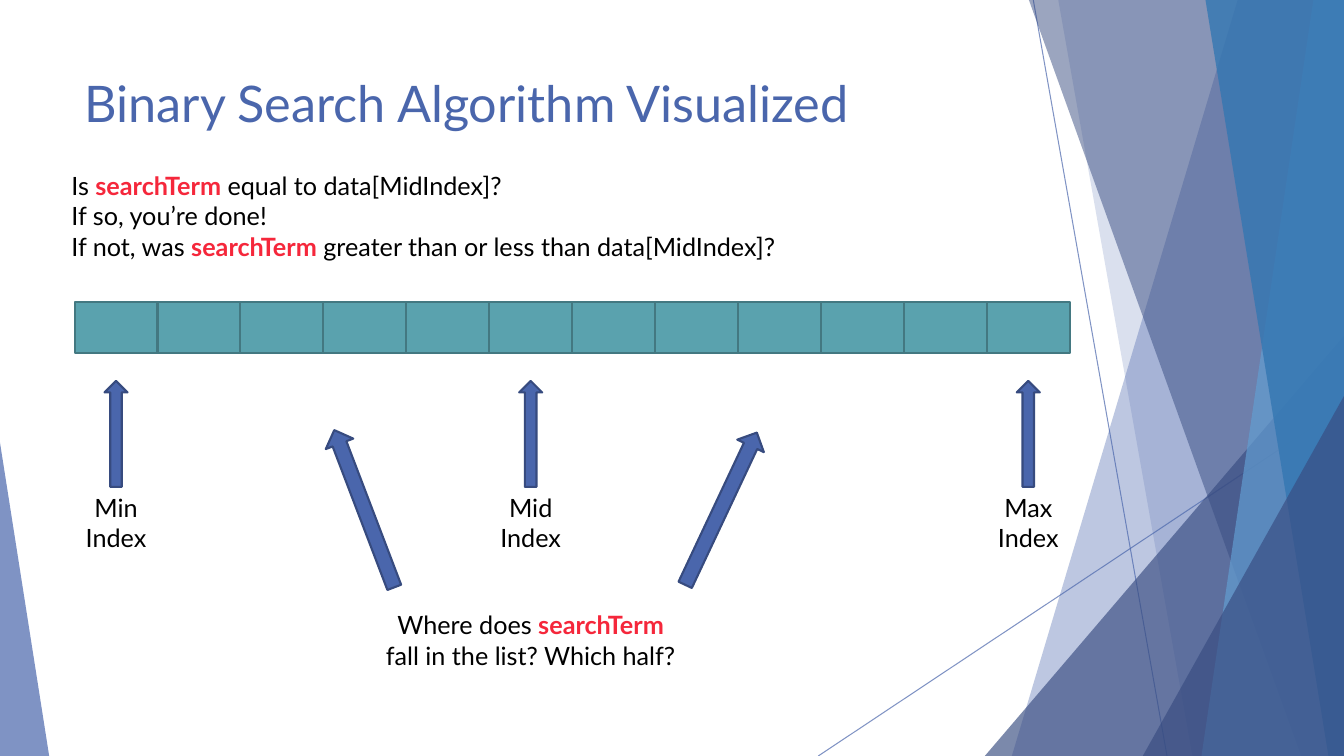
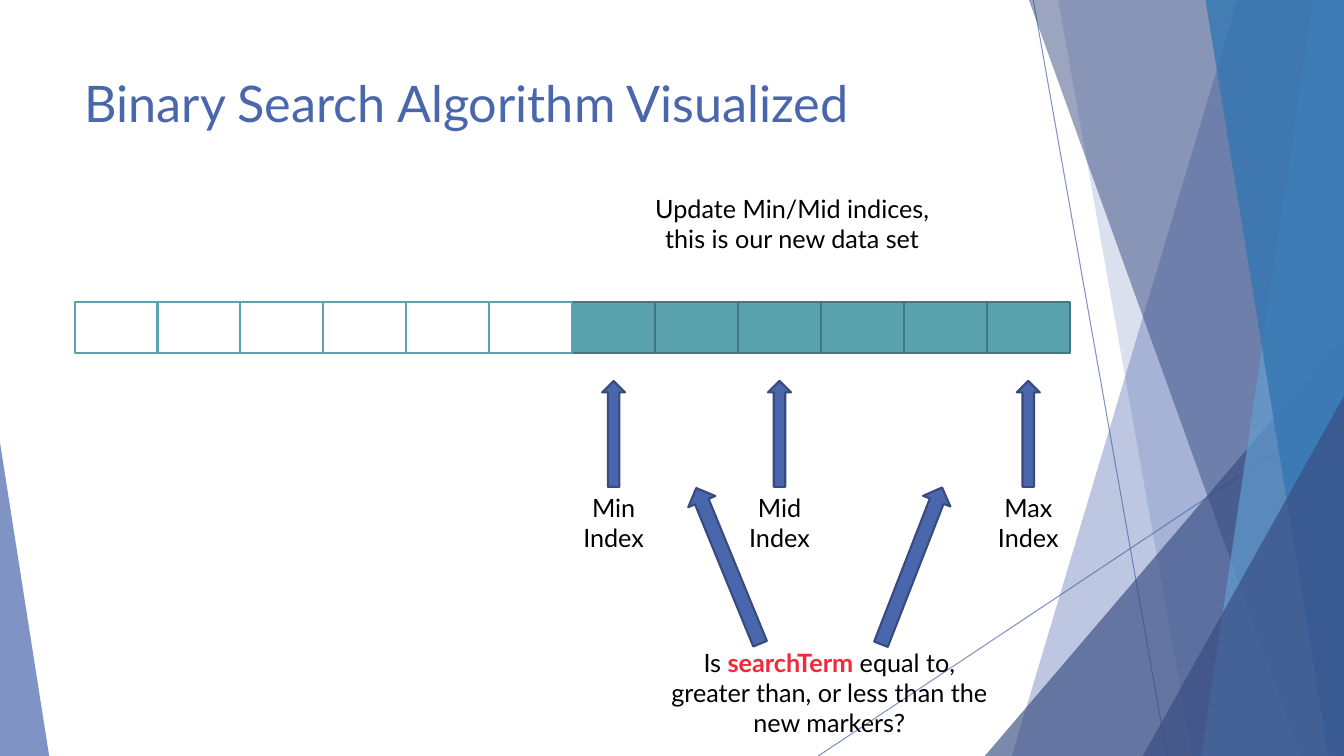
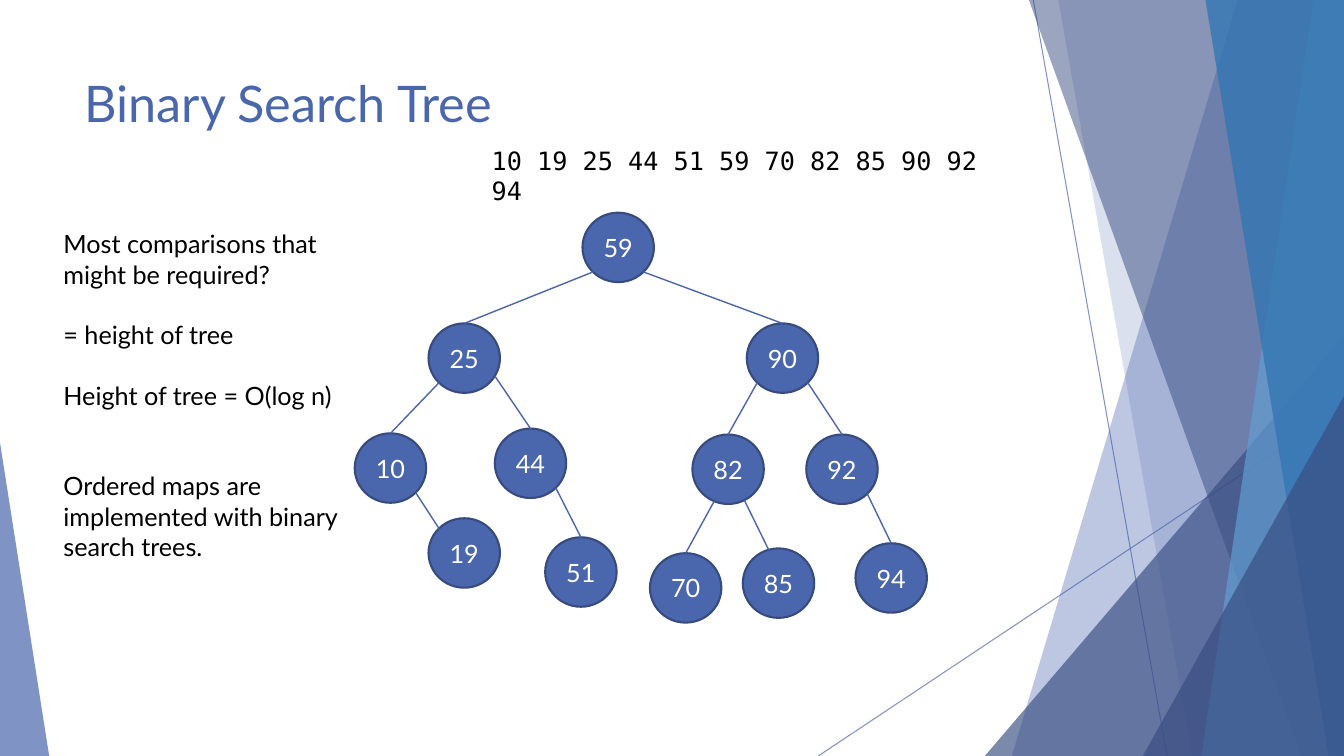
"""Builds three slides that explain binary search and the binary search tree."""
from math import cos, radians, sin

from lxml import etree
from pptx import Presentation
from pptx.dml.color import RGBColor
from pptx.enum.shapes import MSO_CONNECTOR, MSO_SHAPE
from pptx.enum.text import MSO_ANCHOR, PP_ALIGN
from pptx.oxml.ns import qn
from pptx.util import Cm, Pt

LEFT, CENTER = PP_ALIGN.LEFT, PP_ALIGN.CENTER
TOP, MIDDLE = MSO_ANCHOR.TOP, MSO_ANCHOR.MIDDLE
RECTANGLE, ELLIPSE, TRIANGLE = MSO_SHAPE.RECTANGLE, MSO_SHAPE.OVAL, MSO_SHAPE.ISOSCELES_TRIANGLE
UP_ARROW, LEFT_ARROW = MSO_SHAPE.UP_ARROW, MSO_SHAPE.LEFT_ARROW
STRAIGHT = MSO_CONNECTOR.STRAIGHT

WIDTH, HEIGHT = 33.87, 19.05
FONT, MONOSPACE = "Lato", "DejaVu Sans Mono"
BLUE, BLUE_EDGE, NAVY = "4A66AC", "374B7F", "384C81"
SKY, OCEAN = "629DD1", "3477B2"
TEAL, TEAL_EDGE = "5AA2AE", "437881"
WHITE, BLACK, RED = "FFFFFF", "000000", "F5273B"
LINE_HEIGHT = 21.6

CELL_LEFT, CELL_TOP, CELL_WIDTH, CELL_HEIGHT = 1.88, 7.62, 2.09, 1.27
CELL_COUNT = 12
NODE_WIDTH, NODE_HEIGHT = 1.8, 1.75


def paint(fill, colour):
    """Fill with a solid colour given as a hex string."""
    fill.solid()
    fill.fore_color.rgb = RGBColor.from_string(colour)


def fade(shape, percent):
    """Set the opacity of the colours of a shape."""
    for colour in shape.element.spPr.iter(qn("a:srgbClr")):
        etree.SubElement(colour, qn("a:alpha")).set("val", str(percent * 1000))


def write(paragraph, text, size=18, colour=BLACK, font=FONT, align=LEFT, space=0):
    """Write text in a paragraph; parts between asterisks are bold red."""
    paragraph.alignment = align
    paragraph.space_before = Pt(space)
    for index, part in enumerate(text.split("*")):
        emphasis = index % 2 == 1
        run = paragraph.add_run()
        run.text = part
        run.font.name = font
        run.font.size = Pt(size)
        run.font.bold = emphasis
        paint(run.font.fill, RED if emphasis else colour)


class Deck:
    """Holds the presentation, its shared style and the current slide."""

    def __init__(self):
        """Start an empty widescreen presentation."""
        self.presentation = Presentation()
        self.presentation.slide_width = Cm(WIDTH)
        self.presentation.slide_height = Cm(HEIGHT)
        self.slide = None

    def add_slide(self, title):
        """Add a slide with the facets and a title."""
        self.slide = self.presentation.slides.add_slide(self.presentation.slide_layouts[6])
        self.facets()
        self.text([title], 1.88, 1.7, 23.88, 2.16, size=36, colour=BLUE)

    def facets(self):
        """Draw the translucent facets at both sides of the slide."""
        self.line(26.04, 0, 29.41, HEIGHT, width=0.75, opacity=70)
        self.line(WIDTH, 10.24, 20.62, HEIGHT, width=0.75, opacity=70)
        self.band(31.19, 25.5, BLUE, 36)
        self.band(26.67, 30.05, BLUE, 20)
        self.triangle(24.82, 8.46, WIDTH, 1, NAVY, 66)
        self.band(25.93, 32.79, NAVY, 50)
        self.band(33.1, 30.28, SKY, 70)
        self.band(30.38, 33.48, OCEAN, 80)
        self.triangle(28.8, 9.98, WIDTH, 1, NAVY, 66)
        self.triangle(0, 11.15, 1.24, 0, BLUE, 70)

    def band(self, top_left, bottom_left, colour, opacity):
        """Draw a full-height band that reaches the right edge."""
        builder = self.slide.shapes.build_freeform(Cm(top_left), 0)
        corners = [(WIDTH, 0), (WIDTH, HEIGHT), (bottom_left, HEIGHT)]
        builder.add_line_segments([(Cm(x), Cm(y)) for x, y in corners])
        shape = builder.convert_to_shape()
        self.style(shape, colour)
        fade(shape, opacity)

    def triangle(self, left, top, right, apex, colour, opacity):
        """Draw a triangle that stands on the bottom edge."""
        shape = self.shape(TRIANGLE, left, top, right - left, HEIGHT - top, colour)
        shape.adjustments[0] = apex
        fade(shape, opacity)

    def style(self, shape, fill, edge=None):
        """Give a shape its fill and edge, without shadow."""
        shape.shadow.inherit = False
        paint(shape.fill, fill)
        if edge:
            paint(shape.line.fill, edge)
            shape.line.width = Pt(1.5)
        else:
            shape.line.fill.background()

    def shape(self, kind, left, top, width, height, fill, edge=None):
        """Draw a preset shape."""
        shape = self.slide.shapes.add_shape(kind, Cm(left), Cm(top), Cm(width), Cm(height))
        self.style(shape, fill, edge)
        return shape

    def line(self, x1, y1, x2, y2, width=1, opacity=100):
        """Draw a straight blue line."""
        line = self.slide.shapes.add_connector(STRAIGHT, Cm(x1), Cm(y1), Cm(x2), Cm(y2))
        paint(line.line.fill, BLUE)
        line.line.width = Pt(width)
        etree.SubElement(line.element.spPr, qn("a:effectLst"))
        if opacity < 100:
            fade(line, opacity)

    def text(self, lines, left, top, width, height, gaps=(), **style):
        """Add a text box with one paragraph a line and optional gaps above them."""
        box = self.slide.shapes.add_textbox(Cm(left), Cm(top), Cm(width), Cm(height))
        frame = box.text_frame
        frame.word_wrap = True
        frame.vertical_anchor = TOP
        for index, line in enumerate(lines):
            paragraph = frame.add_paragraph() if index else frame.paragraphs[0]
            write(paragraph, line, space=gaps[index] if gaps else 0, **style)

    def cells(self, indices, fill, edge):
        """Draw array cells at the given indices."""
        for index in indices:
            left = CELL_LEFT + index * CELL_WIDTH
            self.shape(RECTANGLE, left, CELL_TOP, CELL_WIDTH, CELL_HEIGHT, fill, edge)

    def marker(self, name, index):
        """Point an arrow with a label at an array cell."""
        left = CELL_LEFT + index * CELL_WIDTH
        width = 0.58
        self.shape(UP_ARROW, left + (CELL_WIDTH - width) / 2, 9.6, width, 2.67, BLUE, BLUE_EDGE)
        self.text([f"{name} Index"], left, 12.27, CELL_WIDTH, 1.8, align=CENTER)

    def pointer(self, left, top, angle):
        """Draw a turned arrow from a question to a half of the array."""
        self.shape(LEFT_ARROW, left, top, 4.24, 0.74, BLUE, BLUE_EDGE).rotation = angle

    def node(self, value, left, top):
        """Draw a tree node."""
        shape = self.shape(ELLIPSE, left, top, NODE_WIDTH, NODE_HEIGHT, BLUE, BLUE_EDGE)
        shape.text_frame.word_wrap = False
        shape.text_frame.vertical_anchor = MIDDLE
        write(shape.text_frame.paragraphs[0], str(value), colour=WHITE, align=CENTER)


def rim(position, angle):
    """Return the point of a node's rim at an angle clockwise from the right."""
    left, top = position
    turn = radians(angle)
    return (left + NODE_WIDTH / 2 * (1 + cos(turn)),
            top + NODE_HEIGHT / 2 * (1 + sin(turn)))


def first_search(deck):
    """Show the whole array and the first question."""
    deck.add_slide("Binary Search Algorithm Visualized")
    deck.cells(range(CELL_COUNT), TEAL, TEAL_EDGE)
    for name, index in (("Min", 0), ("Mid", 5), ("Max", 11)):
        deck.marker(name, index)
    deck.text(["Is *searchTerm* equal to data[MidIndex]?",
               "If so, you’re done!",
               "If not, was *searchTerm* greater than or less than data[MidIndex]?"],
              1.55, 4.17, 22.28, 2.57)
    deck.text(["Where does *searchTerm* fall in the list? Which half?"],
              9.3, 15.24, 8.15, 1.8, align=CENTER)
    deck.pointer(7.06, 12.45, 69.1)
    deck.pointer(16.05, 12.45, 115.2)


def second_search(deck):
    """Show the upper half of the array as the new data set."""
    deck.add_slide("Binary Search Algorithm Visualized")
    half = CELL_COUNT // 2
    deck.cells(range(half, CELL_COUNT), TEAL, TEAL_EDGE)
    deck.cells(range(half), WHITE, TEAL)
    for name, index in (("Min", 6), ("Mid", 8), ("Max", 11)):
        deck.marker(name, index)
    deck.text(["Update Min/Mid indices, this is our new data set"],
              16.13, 4.75, 7.67, 1.8, align=CENTER)
    deck.text(["Is *searchTerm* equal to, greater than, or less than the new markers?"],
              16.48, 16.18, 8.84, 2.57, align=CENTER)
    deck.pointer(20.85, 13.89, 111.3)
    deck.pointer(16.23, 13.89, 67.7)


def search_tree(deck):
    """Show the sorted values as a binary search tree."""
    deck.add_slide("Binary Search Tree")
    nodes = {
        59: (14.68, 5.36),
        25: (10.8, 8.15), 90: (18.82, 8.15),
        10: (8.94, 10.92), 44: (12.47, 10.8), 82: (17.45, 10.95), 92: (20.32, 10.95),
        19: (10.8, 13.06), 51: (13.74, 13.54), 70: (16.38, 13.94),
        85: (18.72, 13.82), 94: (21.56, 13.69),
    }
    edges = [
        (59, 135, 25, 270), (59, 45, 90, 270),
        (25, 135, 10, 270), (25, 31, 44, 270),
        (90, 135, 82, 270), (90, 45, 92, 270),
        (10, 45, 19, 225), (44, 45, 51, 270),
        (82, 113, 70, 270), (82, 63, 85, 254), (92, 45, 94, 270),
    ]
    for value, position in nodes.items():
        deck.node(value, *position)
    for parent, start, child, end in edges:
        deck.line(*rim(nodes[parent], start), *rim(nodes[child], end))
    deck.text([" ".join(str(value) for value in sorted(nodes))],
              12.14, 3.53, 12.83, 1.02, font=MONOSPACE)
    deck.text(["Most comparisons that might be required?",
               "= height of tree",
               "Height of tree = O(log n)",
               "Ordered maps are implemented with binary search trees."],
              1.35, 5.64, 8.18, 11.02,
              gaps=(0, LINE_HEIGHT, LINE_HEIGHT, 2 * LINE_HEIGHT))


def main():
    """Build and save the presentation."""
    deck = Deck()
    first_search(deck)
    second_search(deck)
    search_tree(deck)
    deck.presentation.save("out.pptx")


main()
